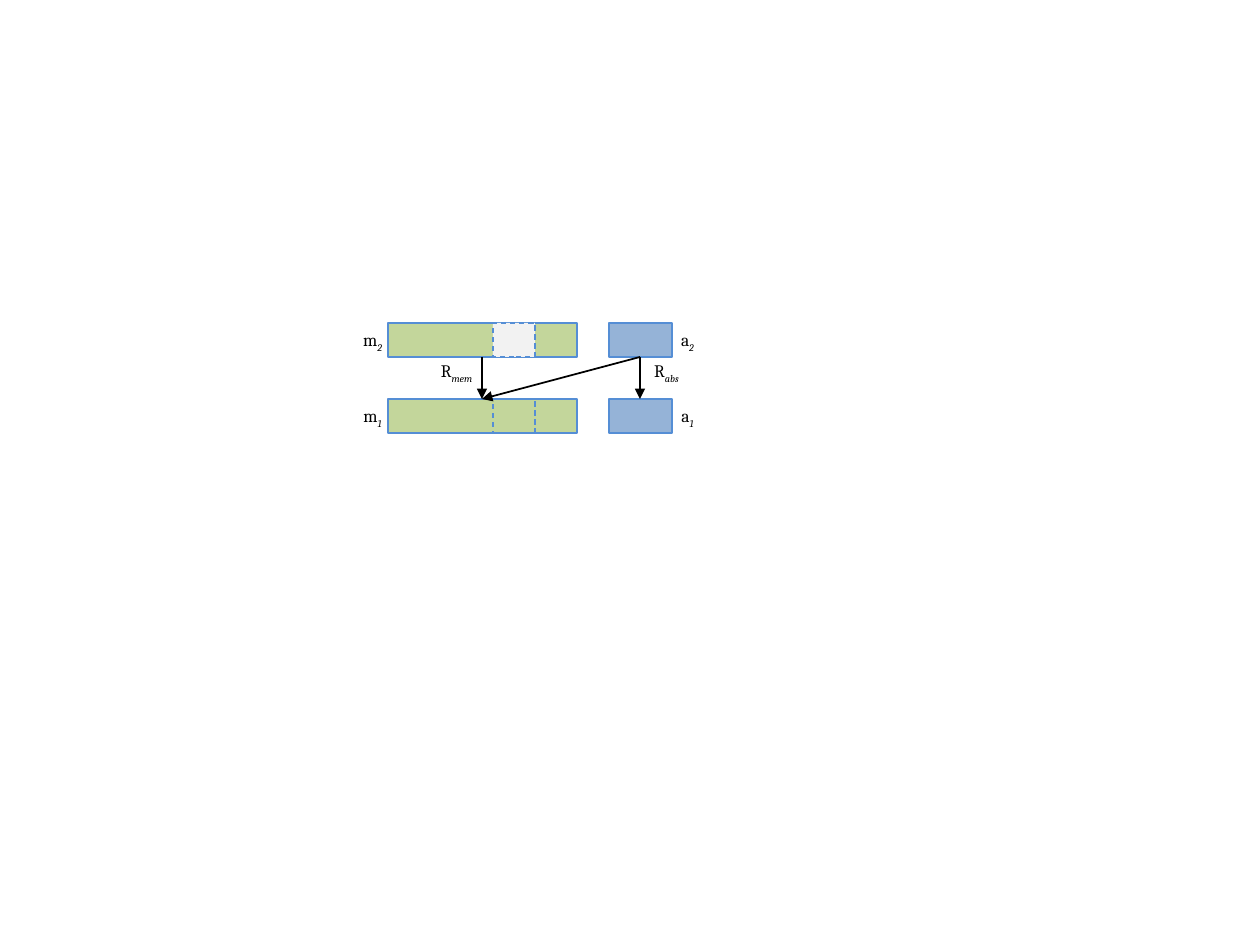
"""Build a slide relating concrete memories to their abstract states."""
from dataclasses import dataclass

from lxml import etree
from pptx import Presentation
from pptx import util as u
from pptx.dml.color import RGBColor
from pptx.enum import dml, shapes, text
from pptx.oxml.ns import qn

PIXEL = 914400 / 126


@dataclass(frozen=True)
class Theme:
    """Colours and type sizes."""
    memory: str = "C3D69B"
    abstract: str = "95B3D7"
    removed: str = "F2F2F2"
    outline: str = "558ED5"
    ink: str = "000000"
    font: str = "Cambria"
    size: float = 10
    outline_width: float = 0.75
    arrow_width: float = 1


@dataclass(frozen=True)
class Block:
    """A rectangle in a row of the diagram."""
    left: int
    width: int
    fill: str | None
    dashed: bool = False

    @property
    def center(self) -> int:
        """Return the horizontal middle."""
        return self.left + self.width // 2


@dataclass(frozen=True)
class Label:
    """A symbol with an italic subscript."""
    symbol: str
    subscript: str
    left: int
    top: int
    width: int


@dataclass(frozen=True)
class Arrow:
    """A relation drawn from the upper row to the lower row."""
    start: int
    end: int


THEME = Theme()
ROW_HEIGHT = 34
UPPER, LOWER = 323, 399
RELATION_TOP = 354
STATE_WIDTH, RELATION_WIDTH = 53, 73
MEMORY = Block(388, 189, THEME.memory)
ABSTRACT = Block(609, 63, THEME.abstract)


def px(pixels: float) -> u.Emu:
    """Turn pixels into EMU."""
    return u.Emu(round(pixels * PIXEL))


def draw_block(slide, block: Block, top: int) -> None:
    """Draw one rectangle."""
    rect = slide.shapes.add_shape(
        shapes.MSO_SHAPE.RECTANGLE,
        px(block.left), px(top), px(block.width), px(ROW_HEIGHT))
    rect.shadow.inherit = False
    if block.fill:
        rect.fill.solid()
        rect.fill.fore_color.rgb = RGBColor.from_string(block.fill)
    else:
        rect.fill.background()
    rect.line.color.rgb = RGBColor.from_string(THEME.outline)
    rect.line.width = u.Pt(THEME.outline_width)
    if block.dashed:
        rect.line.dash_style = dml.MSO_LINE.DASH


def draw_label(slide, label: Label) -> None:
    """Write one symbol and its subscript."""
    box = slide.shapes.add_textbox(
        px(label.left), px(label.top), px(label.width), px(ROW_HEIGHT))
    frame = box.text_frame
    frame.word_wrap = True
    frame.auto_size = text.MSO_AUTO_SIZE.SHAPE_TO_FIT_TEXT
    paragraph = frame.paragraphs[0]
    paragraph.alignment = text.PP_ALIGN.CENTER
    for part in (label.symbol, label.subscript):
        run = paragraph.add_run()
        run.text = part
        run.font.name = THEME.font
        run.font.size = u.Pt(THEME.size)
        run.font.color.rgb = RGBColor.from_string(THEME.ink)
    run.font.italic = True
    run._r.get_or_add_rPr().set("baseline", "-25000")


def draw_arrow(slide, arrow: Arrow) -> None:
    """Draw one relation arrow."""
    line = slide.shapes.add_connector(
        shapes.MSO_CONNECTOR.STRAIGHT,
        px(arrow.start), px(UPPER + ROW_HEIGHT), px(arrow.end), px(LOWER))
    line.line.color.rgb = RGBColor.from_string(THEME.ink)
    line.line.width = u.Pt(THEME.arrow_width)
    etree.SubElement(line.line._get_or_add_ln(), qn("a:tailEnd"), type="triangle")
    etree.SubElement(line._element.spPr, qn("a:effectLst"))


def main() -> None:
    """Build and save the slide."""
    deck = Presentation()
    deck.slide_width, deck.slide_height = px(1260), px(945)
    slide = deck.slides.add_slide(deck.slide_layouts[6])

    for index, top, cell_fill in (("1", LOWER, None), ("2", UPPER, THEME.removed)):
        for block in (MEMORY, ABSTRACT, Block(493, 42, cell_fill, dashed=True)):
            draw_block(slide, block, top)
        for symbol, left in (("m", 346), ("a", 661)):
            draw_label(slide, Label(symbol, index, left, top, STATE_WIDTH))

    for start, end in ((ABSTRACT, MEMORY), (MEMORY, MEMORY), (ABSTRACT, ABSTRACT)):
        draw_arrow(slide, Arrow(start.center, end.center))
    for subscript, left in (("mem", 420), ("abs", 630)):
        draw_label(slide, Label("R", subscript, left, RELATION_TOP, RELATION_WIDTH))

    deck.save("out.pptx")


main()
